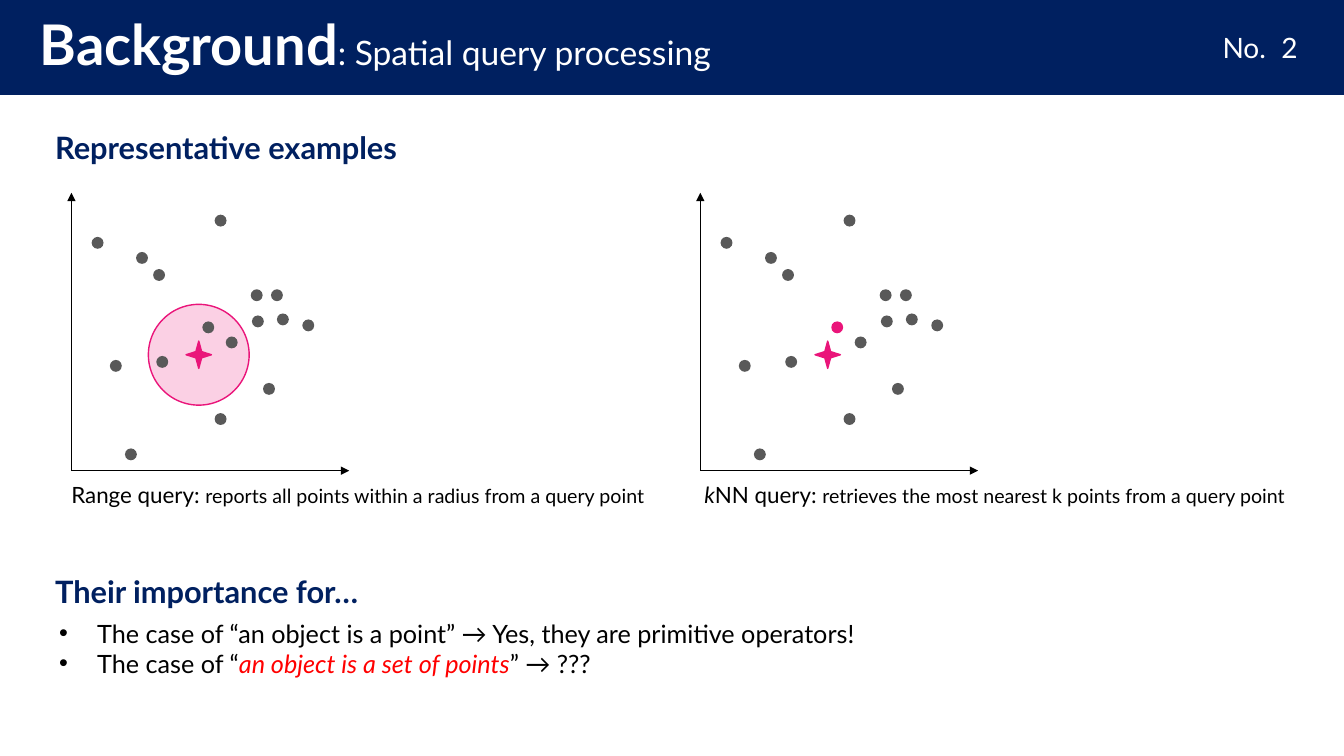
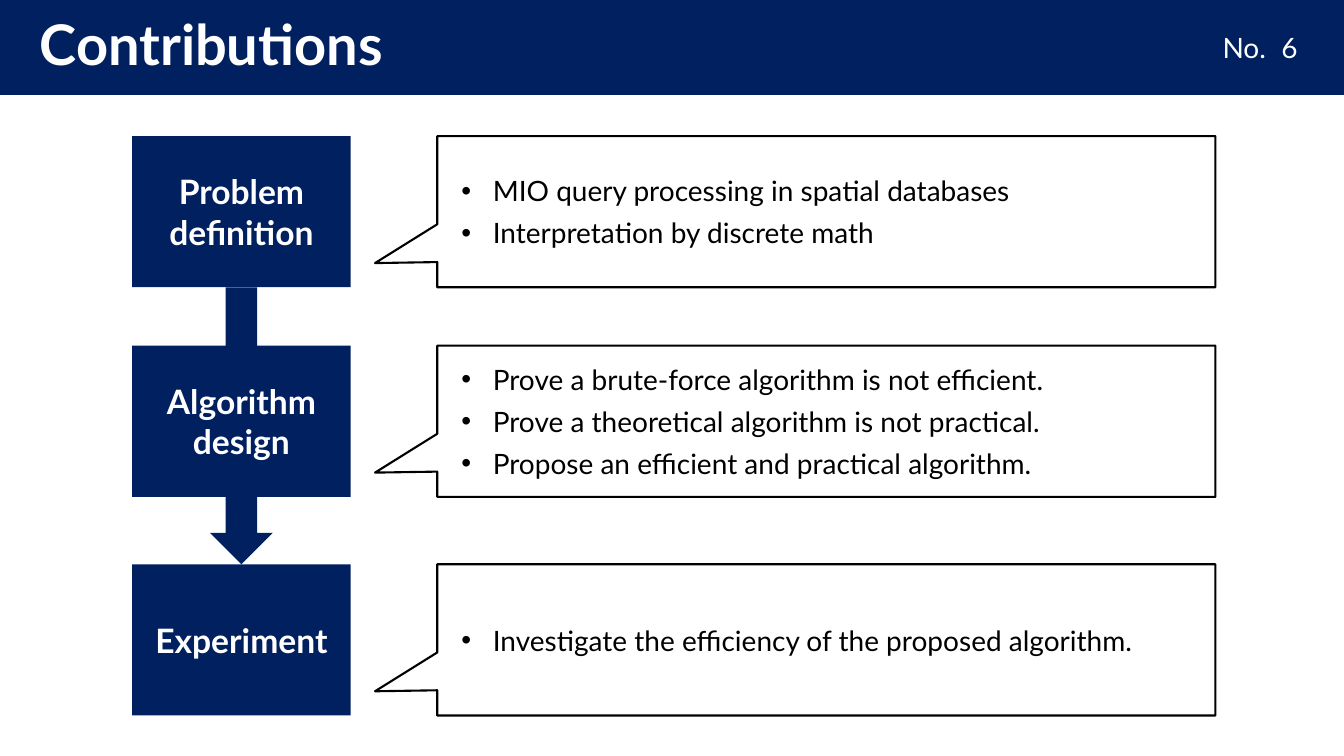
from pptx import Presentation
from pptx.dml.color import RGBColor
from pptx.enum.shapes import MSO_CONNECTOR, MSO_SHAPE
from pptx.enum.text import MSO_ANCHOR, PP_ALIGN
from pptx.oxml.ns import qn
from pptx.util import Cm, Pt
from lxml.etree import SubElement

NAVY = RGBColor(0x00, 0x20, 0x60)
WHITE = RGBColor(0xFF, 0xFF, 0xFF)
BLACK = RGBColor(0x00, 0x00, 0x00)
GRAY = RGBColor(0x59, 0x59, 0x59)
PINK = RGBColor(0xEA, 0x15, 0x7A)
PALE_PINK = RGBColor(0xFB, 0xD0, 0xE4)
RED = RGBColor(0xFF, 0x00, 0x00)
FONT = "Lato"

# Text styles
TITLE = {"size": Pt(40), "color": WHITE, "bold": True}
SUBTITLE = {"size": Pt(24), "color": WHITE}
NUMBER = {"size": Pt(20), "color": WHITE}
HEADING = {"size": Pt(22), "color": NAVY, "bold": True}
QUERY = {"size": Pt(16), "color": BLACK}
QUERY_ITALIC = {**QUERY, "italic": True}
DETAIL = {"size": Pt(14), "color": BLACK}
CASE = {"size": Pt(18), "color": BLACK}
CASE_RED = {**CASE, "color": RED, "italic": True}
STEP = {"size": Pt(24), "color": WHITE, "bold": True}
POINT = {"size": Pt(20), "color": BLACK}

# Content, lengths in centimetres
SLIDE_WIDTH, SLIDE_HEIGHT = 33.87, 19.05
NO_INSETS = (0, 0, 0, 0)

HEADINGS = [(3.12, "Representative examples"), (14.3, "Their importance for…")]
CASES = [
    [("The case of “an object is a point” → Yes, they are primitive operators!", CASE)],
    [("The case of “", CASE), ("an object is a set of points", CASE_RED), ("” → ???", CASE)],
]

# Plot points as (right, up) from the plot origin
POINTS = [
    (1.78, 5.36), (1.12, 2.64), (5.97, 3.66), (4.67, 4.42), (5.33, 3.81),
    (4.70, 3.76), (5.18, 4.42), (2.21, 4.93), (2.29, 2.74), (3.45, 3.61),
    (3.76, 1.30), (4.98, 2.06), (4.04, 3.23), (3.76, 6.30), (0.66, 5.74),
    (1.50, 0.41),
]
NEAREST = (3.45, 3.61)
QUERY_POINT = (3.21, 2.92)
ORIGIN_TOP, AXIS_LENGTH, DOT_SIZE, RANGE_SIZE = 11.86, 7.0, 0.3, 2.54
PLOTS = [
    {"left": 1.8, "caption_left": 1.55, "range": True, "highlight": None,
     "caption": [("Range query: ", QUERY),
                 ("reports all points within a radius from a query point", DETAIL)]},
    {"left": 17.65, "caption_left": 17.5, "range": False, "highlight": NEAREST,
     "caption": [("k", QUERY_ITALIC), ("NN query: ", QUERY),
                 ("retrieves the most nearest k points from a query point", DETAIL)]},
]

STEP_LEFT, STEP_WIDTH, STEP_HEIGHT = 3.33, 5.51, 3.81
CALLOUT_LEFT, CALLOUT_WIDTH = 11.02, 19.61
ARROW_WIDTH = 1.58
STEPS = [
    (3.43, "Problem definition",
     ["MIO query processing in spatial databases", "Interpretation by discrete math"]),
    (8.71, "Algorithm design",
     ["Prove a brute-force algorithm is not efficient.",
      "Prove a theoretical algorithm is not practical.",
      "Propose an efficient and practical algorithm."]),
    (14.22, "Experiment", ["Investigate the efficiency of the proposed algorithm."]),
]


def set_bullet(paragraph, indent):
    properties = paragraph._p.get_or_add_pPr()
    properties.set("marL", str(Cm(indent)))
    properties.set("indent", str(-Cm(indent)))
    SubElement(properties, qn("a:buFont")).set("typeface", "Arial")
    SubElement(properties, qn("a:buChar")).set("char", "•")


def write(shape, paragraphs, insets=(0.25, 0.13, 0.25, 0.13), anchor=MSO_ANCHOR.TOP,
          bullet_indent=None, **paragraph_format):
    """Fill a shape with paragraphs, each a list of (text, style) runs."""
    frame = shape.text_frame
    frame.word_wrap = True
    frame.vertical_anchor = anchor
    for side, inset in zip(("left", "top", "right", "bottom"), insets):
        setattr(frame, f"margin_{side}", Cm(inset))
    for index, runs in enumerate(paragraphs):
        paragraph = frame.add_paragraph() if index else frame.paragraphs[0]
        for name, value in {"alignment": PP_ALIGN.LEFT, **paragraph_format}.items():
            setattr(paragraph, name, value)
        if bullet_indent:
            set_bullet(paragraph, bullet_indent)
        for text, style in runs:
            run = paragraph.add_run()
            run.text = text
            run.font.name = FONT
            for name, value in style.items():
                if name == "color":
                    run.font.color.rgb = value
                else:
                    setattr(run.font, name, value)


def add_text(slide, box, paragraphs, **options):
    write(slide.shapes.add_textbox(*map(Cm, box)), paragraphs, **options)


def add_shape(slide, kind, box, fill, line=None, line_width=1):
    shape = slide.shapes.add_shape(kind, *map(Cm, box))
    shape.shadow.inherit = False
    shape.fill.solid()
    shape.fill.fore_color.rgb = fill
    if line is None:
        shape.line.fill.background()
    else:
        shape.line.color.rgb = line
        shape.line.width = Pt(line_width)
    return shape


def add_axis(slide, start, end):
    axis = slide.shapes.add_connector(MSO_CONNECTOR.STRAIGHT, *map(Cm, start + end))
    axis.line.color.rgb = BLACK
    axis.line.width = Pt(0.5)
    SubElement(axis.line._get_or_add_ln(), qn("a:tailEnd")).set("type", "triangle")
    SubElement(axis._element.spPr, qn("a:effectLst"))


def add_framed_slide(presentation, number, title_runs):
    """Add a blank slide with the title band and the slide number."""
    slide = presentation.slides.add_slide(presentation.slide_layouts[6])
    add_shape(slide, MSO_SHAPE.RECTANGLE, (0, 0, SLIDE_WIDTH, 2.39), NAVY, NAVY)
    add_text(slide, (0, 0.15, SLIDE_WIDTH, 2.11), [title_runs], line_spacing=0.9,
             insets=(1, 0.1, 0.1, 0.1), anchor=MSO_ANCHOR.MIDDLE)
    add_text(slide, (30.81, 0.76, 1.22, 0.86), [[("No.", NUMBER)]], insets=NO_INSETS)
    add_text(slide, (31.67, 0.76, 1.65, 0.86), [[(str(number), NUMBER)]],
             insets=NO_INSETS, anchor=MSO_ANCHOR.MIDDLE, alignment=PP_ALIGN.CENTER)
    return slide


def add_plot(slide, plot):
    left = plot["left"]

    def centred(point, width, height):
        return (left + point[0] - width / 2, ORIGIN_TOP - point[1] - height / 2,
                width, height)

    if plot["range"]:
        add_shape(slide, MSO_SHAPE.OVAL, centred(QUERY_POINT, RANGE_SIZE, RANGE_SIZE),
                  PALE_PINK, PINK)
    origin = (left, ORIGIN_TOP)
    add_axis(slide, origin, (left + AXIS_LENGTH, ORIGIN_TOP))
    add_axis(slide, origin, (left, ORIGIN_TOP - AXIS_LENGTH))
    for point in POINTS:
        color = PINK if point == plot["highlight"] else GRAY
        add_shape(slide, MSO_SHAPE.OVAL, centred(point, DOT_SIZE, DOT_SIZE), color)
    star = add_shape(slide, MSO_SHAPE.STAR_4_POINT, centred(QUERY_POINT, 0.64, 0.69),
                     PINK, PINK)
    star.adjustments[0] = 0.16
    add_text(slide, (plot["caption_left"], 11.99, 15.8, 0.94), [plot["caption"]])


def build_background(presentation):
    slide = add_framed_slide(presentation, 2, [("Background", TITLE),
                                               (": Spatial query processing", SUBTITLE)])
    for top, text in HEADINGS:
        add_text(slide, (1.14, top, 14.27, 1.19), [[(text, HEADING)]])
    for plot in PLOTS:
        add_plot(slide, plot)
    add_text(slide, (1.24, 15.44, 21.23, 1.8), CASES, bullet_indent=0.96)


def build_contributions(presentation):
    slide = add_framed_slide(presentation, 6, [("Contributions", TITLE)])
    # Arrow from the first step to the last, passing behind the middle one
    arrow_top = STEPS[0][0] + STEP_HEIGHT
    add_shape(slide, MSO_SHAPE.DOWN_ARROW,
              (STEP_LEFT + (STEP_WIDTH - ARROW_WIDTH) / 2, arrow_top,
               ARROW_WIDTH, STEPS[-1][0] - arrow_top), NAVY)
    # Step boxes with their callouts
    for top, name, points in STEPS:
        step = add_shape(slide, MSO_SHAPE.RECTANGLE,
                         (STEP_LEFT, top, STEP_WIDTH, STEP_HEIGHT), NAVY)
        write(step, [[(name, STEP)]], anchor=MSO_ANCHOR.MIDDLE, alignment=PP_ALIGN.CENTER)
        callout = add_shape(slide, MSO_SHAPE.RECTANGULAR_CALLOUT,
                            (CALLOUT_LEFT, top, CALLOUT_WIDTH, STEP_HEIGHT),
                            WHITE, BLACK, 1.5)
        callout.adjustments[0] = -0.58
        callout.adjustments[1] = 0.34
        write(callout, [[(text, POINT)] for text in points], insets=(0.61, 0.1, 0.1, 0.1),
              anchor=MSO_ANCHOR.MIDDLE, bullet_indent=0.79, space_before=Pt(6))


def main():
    presentation = Presentation()
    presentation.slide_width = Cm(SLIDE_WIDTH)
    presentation.slide_height = Cm(SLIDE_HEIGHT)
    build_background(presentation)
    build_contributions(presentation)
    presentation.save("out.pptx")


if __name__ == "__main__":
    main()
